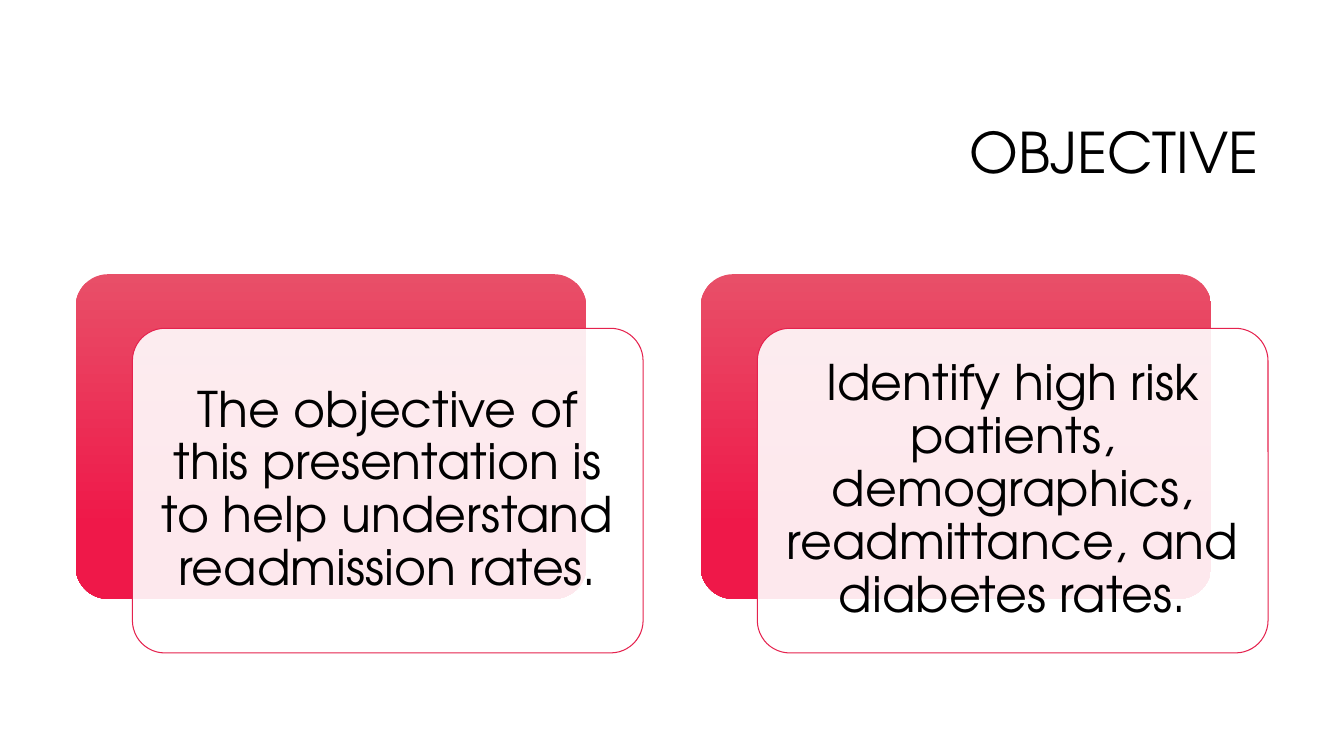
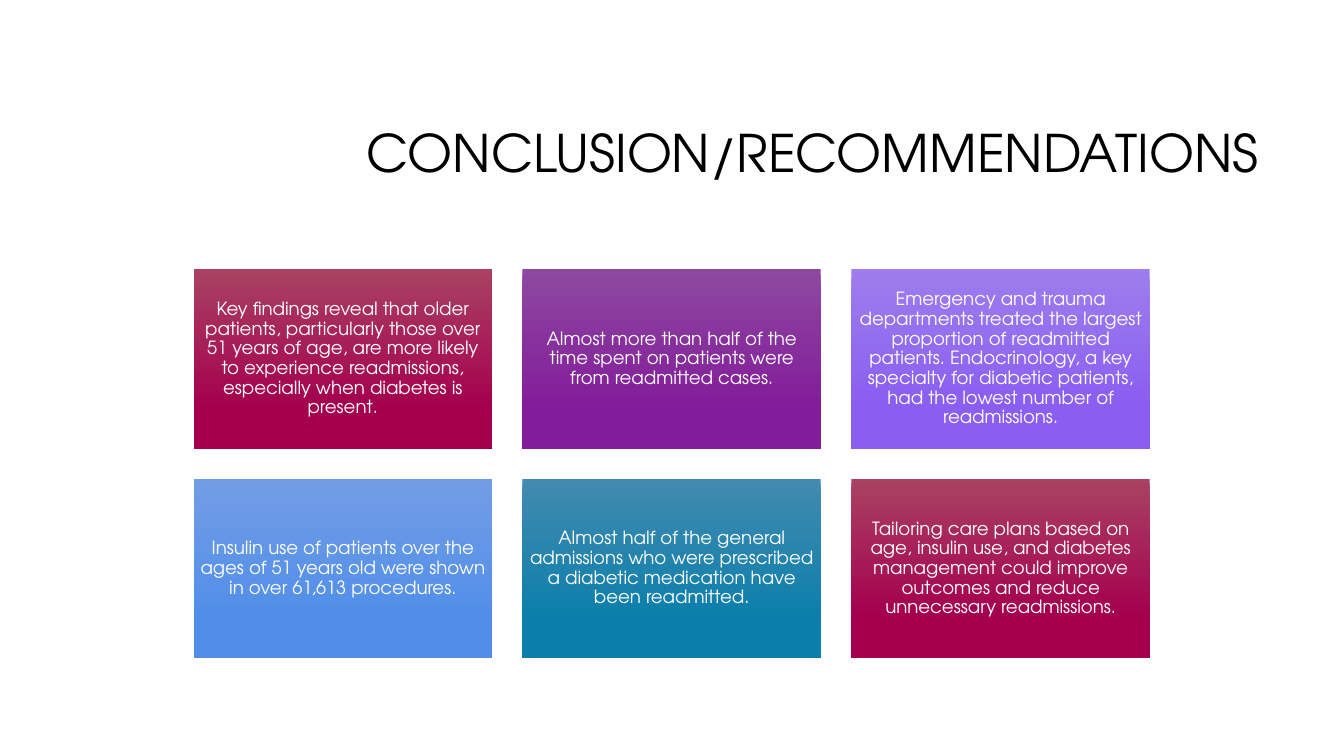
from lxml import etree
from pptx import Presentation
from pptx import util as u
from pptx.dml.color import RGBColor
from pptx.enum import shapes, text
from pptx.oxml.ns import qn

COLORS = {
    "ink": "000000",
    "paper": "FFFFFF",
    "outline": "E5224E",
    "red": ("E84F68", "EF1849"),
    "wine": ("A94263", "A4004E"),
    "purple": ("8D48A0", "831C9A"),
    "violet": ("9D7DED", "8A5EF1"),
    "blue": ("729DE5", "518EE9"),
    "teal": ("438AB0", "0B7FAB"),
}
FONT = "TeX Gyre Adventor"
COLUMNS, ROWS = 160, 90

OBJECTIVES = [
    "The objective of this presentation is to help understand readmission rates.",
    "Identify high risk patients, demographics, readmittance, and diabetes rates.",
]
FINDINGS = [
    ("wine", "Key findings reveal that older patients, particularly those over 51 years of age, "
             "are more likely to experience readmissions, especially when diabetes is present."),
    ("purple", "Almost more than half of the time spent on patients were from readmitted cases."),
    ("violet", "Emergency and trauma departments treated the largest proportion of readmitted patients. "
               "Endocrinology, a key specialty for diabetic patients, had the lowest number of readmissions."),
    ("blue", "Insulin use of patients over the ages of 51 years old were shown in over 61,613 procedures."),
    ("teal", "Almost half of the general admissions who were prescribed a diabetic medication "
             "have been readmitted."),
    ("wine", "Tailoring care plans based on age, insulin use, and diabetes management could improve "
             "outcomes and reduce unnecessary readmissions."),
]


class Deck:
    """Holds the shared style and the current page, placed on a 160 by 90 grid."""

    def __init__(self):
        self.deck = Presentation()
        self.deck.slide_width = u.Inches(13.333)
        self.deck.slide_height = u.Inches(7.5)
        self.page = None

    def add_page(self, title, size):
        self.page = self.deck.slides.add_slide(self.deck.slide_layouts[6])
        box = self.page.shapes.add_textbox(*self.place(38, 10.1, 113, 16.9))
        self.set_words(box, title, size, "ink", text.PP_ALIGN.RIGHT)

    def place(self, left, top, width, height):
        column = self.deck.slide_width / COLUMNS
        row = self.deck.slide_height / ROWS
        return [round(n) for n in (left * column, top * row, width * column, height * row)]

    def set_words(self, box, words, size, color, align=text.PP_ALIGN.CENTER, inset=None):
        frame = box.text_frame
        frame.text = words
        frame.word_wrap = True
        frame.vertical_anchor = text.MSO_ANCHOR.MIDDLE
        if inset is not None:
            frame.margin_left = frame.margin_right = u.Inches(inset)
            frame.margin_top = frame.margin_bottom = u.Inches(inset)
        para = frame.paragraphs[0]
        para.alignment = align
        para.line_spacing = 0.9
        font = para.runs[0].font
        font.name, font.size = FONT, u.Pt(size)
        font.color.rgb = RGBColor.from_string(COLORS[color])

    def shape(self, kind, area):
        box = self.page.shapes.add_shape(kind, *self.place(*area))
        box.shadow.inherit = False
        if kind == shapes.MSO_SHAPE.ROUNDED_RECTANGLE:
            box.adjustments[0] = 0.1
        return box

    def gradient_box(self, kind, area, color):
        box = self.shape(kind, area)
        box.line.fill.background()
        box.fill.gradient()
        box.fill.gradient_angle = 270
        for stop, place, shade in zip(box.fill.gradient_stops, (0, 0.78), COLORS[color]):
            stop.position = place
            stop.color.rgb = RGBColor.from_string(shade)
        return box

    def card(self, left, top, words):
        kind = shapes.MSO_SHAPE.ROUNDED_RECTANGLE
        width, height = 60.8, 38.65
        self.gradient_box(kind, (left, top, width, height), "red")
        panel = self.shape(kind, (left + 6.76, top + 6.44, width, height))
        panel.fill.solid()
        panel.fill.fore_color.rgb = RGBColor.from_string(COLORS["paper"])
        tint = panel.element.spPr.find(qn("a:solidFill"))[0]
        etree.SubElement(tint, qn("a:alpha")).set("val", "90000")
        panel.line.color.rgb = RGBColor.from_string(COLORS["outline"])
        panel.line.width = u.Pt(0.75)
        self.set_words(panel, words, 35, "ink", inset=0.15)

    def tile(self, left, top, color, words):
        area = (left, top, 35.52, 21.36)
        box = self.gradient_box(shapes.MSO_SHAPE.RECTANGLE, area, color)
        self.set_words(box, words, 13, "paper", inset=0.05)


def main():
    deck = Deck()
    deck.add_page("OBJECTIVE", 40)
    for index, words in enumerate(OBJECTIVES):
        deck.card(9 + index * 74.4, 32.64, words)

    deck.add_page("CONCLUSION/RECOMMENDATIONS", 37)
    for index, (color, words) in enumerate(FINDINGS):
        row, column = divmod(index, 3)
        deck.tile(23.04 + column * 39.16, 32.04 + row * 24.96, color, words)
    deck.deck.save("out.pptx")


if __name__ == "__main__":
    main()
